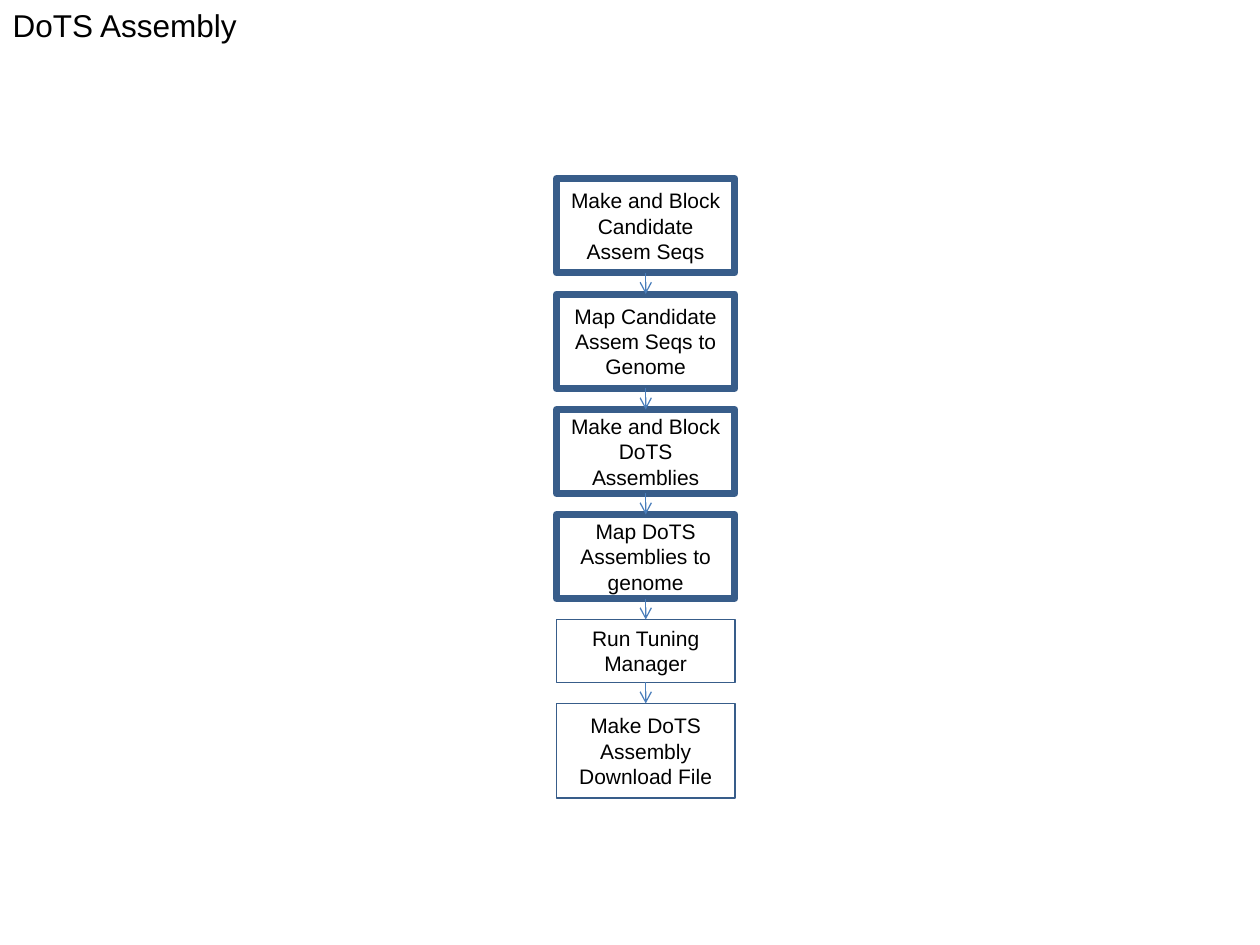
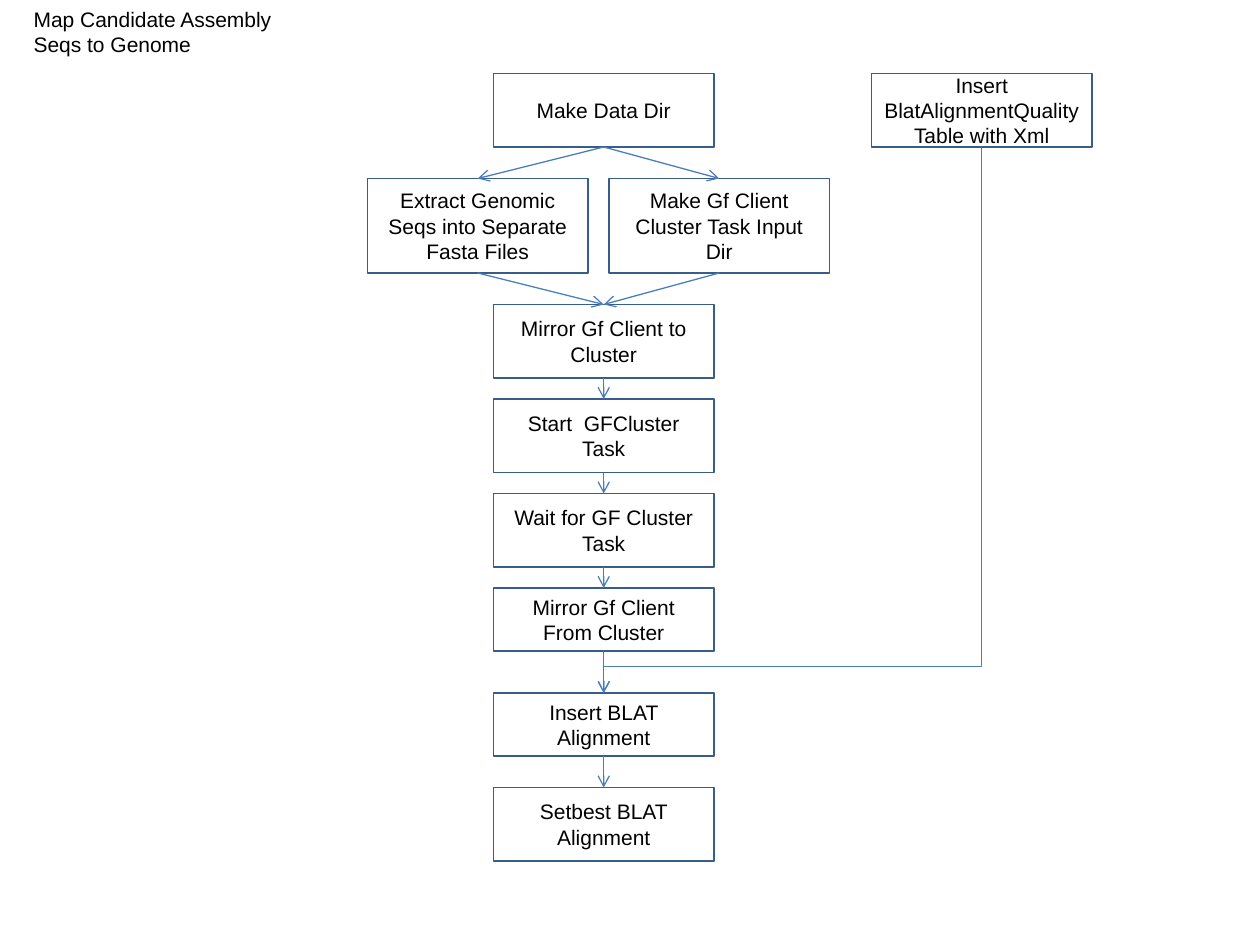
"""Build two flow charts of the DoTS assembly steps."""
from itertools import pairwise

from lxml import etree
from pptx import Presentation
from pptx import util as u
from pptx.dml.color import RGBColor
from pptx.enum import shapes, text
from pptx.oxml.ns import qn

EDGE, LINK, INK, WHITE = "385D8A", "4A7EBB", "000000", "FFFFFF"
FONT = "Arial"
THIN, THICK = 1, 4


def px(n):
    return u.Emu(n * 7620)


def color(code):
    return RGBColor.from_string(code)


class Deck:
    def __init__(self):
        self.prs = Presentation()
        self.prs.slide_width, self.prs.slide_height = px(1200), px(900)
        self.slide = None

    def place(self, shape, left, top, width, height):
        shape.left, shape.top = px(left), px(top)
        shape.width, shape.height = px(width), px(height)

    def label(self, frame, words, size, align):
        frame.text = words
        for para in frame.paragraphs:
            para.alignment = align
            para.font.name = FONT
            para.font.size = u.Pt(size)
            para.font.color.rgb = color(INK)

    def page(self, words, left, width, height, size, wrap):
        self.slide = self.prs.slides.add_slide(self.prs.slide_layouts[5])
        title = self.slide.shapes.title
        self.place(title, left, 0, width, height)
        frame = title.text_frame
        self.label(frame, words, size, text.PP_ALIGN.LEFT)
        frame.vertical_anchor = text.MSO_ANCHOR.TOP
        frame.auto_size = text.MSO_AUTO_SIZE.SHAPE_TO_FIT_TEXT
        frame.word_wrap = wrap

    def box(self, words, left, top, width, height, edge=THIN, fill=None):
        shape = self.slide.shapes.add_shape(
            shapes.MSO_SHAPE.RECTANGLE, px(left), px(top), px(width), px(height))
        shape.shadow.inherit = False
        if fill:
            shape.fill.solid()
            shape.fill.fore_color.rgb = color(fill)
        else:
            shape.fill.background()
        shape.line.color.rgb = color(EDGE)
        shape.line.width = u.Pt(edge)
        frame = shape.text_frame
        frame.word_wrap = True
        frame.vertical_anchor = text.MSO_ANCHOR.MIDDLE
        self.label(frame, words, 12, text.PP_ALIGN.CENTER)
        return shape

    def style(self, link):
        link.line.color.rgb = color(LINK)
        link.line.width = u.Pt(0.75)
        props = link.element.spPr
        etree.SubElement(props.find(qn("a:ln")), qn("a:tailEnd"), type="arrow")
        etree.SubElement(props, qn("a:effectLst"))

    def arrow(self, start, end):
        link = self.slide.shapes.add_connector(
            shapes.MSO_CONNECTOR.STRAIGHT, 0, 0, 0, 0)
        link.begin_connect(start, 2)
        link.end_connect(end, 0)
        self.style(link)

    def elbow(self, x1, y1, x2, y2, bend):
        run, drop = x1 - x2, y2 - y1
        left, top = (x1 + x2 - drop) // 2, (y1 + y2 - run) // 2
        link = self.slide.shapes.add_connector(
            shapes.MSO_CONNECTOR.ELBOW, px(left), px(top),
            px(left + drop), px(top + run))
        props = link.element.spPr
        props.find(qn("a:xfrm")).set("rot", str(90 * 60000))
        shape = props.find(qn("a:prstGeom"))
        guides = shape.find(qn("a:avLst"))
        if guides is None:
            guides = etree.SubElement(shape, qn("a:avLst"))
        ratio = round((bend - y1) / drop * 100000)
        etree.SubElement(guides, qn("a:gd"), name="adj1", fmla=f"val {ratio}")
        self.style(link)


def steps(deck):
    deck.page("DoTS Assembly", 0, 239, 48, 18, False)
    rows = [
        ("Make and Block Candidate Assem Seqs", 90, THICK, None),
        ("Map Candidate Assem Seqs to Genome", 90, THICK, None),
        ("Make and Block DoTS Assemblies", 80, THICK, None),
        ("Map DoTS Assemblies to genome", 80, THICK, None),
        ("Run Tuning Manager", 60, THIN, WHITE),
        ("Make DoTS Assembly Download File", 90, THIN, WHITE),
    ]
    top, gap = 170, 20
    chain = []
    for words, height, edge, fill in rows:
        chain.append(deck.box(words, 530, top, 170, height, edge, fill))
        top += height + gap
    for start, end in pairwise(chain):
        deck.arrow(start, end)


def mapping(deck):
    deck.page("Map Candidate Assembly\nSeqs to Genome", 20, 270, 60, 12, True)
    mid, wide = 470, 210
    first = deck.box("Make Data Dir", mid, 70, wide, 70)
    forks = [
        deck.box("Extract Genomic Seqs into Separate Fasta Files", 350, 170, wide, 90),
        deck.box("Make Gf Client Cluster Task Input Dir", 580, 170, wide, 90),
    ]
    rows = [
        ("Mirror Gf Client to Cluster", 290, 70),
        ("Start  GFCluster Task", 380, 70),
        ("Wait for GF Cluster Task", 470, 70),
        ("Mirror Gf Client From Cluster", 560, 60),
        ("Insert BLAT Alignment", 660, 60),
        ("Setbest BLAT Alignment", 750, 70),
    ]
    chain = [deck.box(words, mid, top, wide, height) for words, top, height in rows]
    side = 830
    deck.box("Insert BlatAlignmentQuality Table with Xml", side, 70, wide, 70)
    for fork in forks:
        deck.arrow(first, fork)
        deck.arrow(fork, chain[0])
    for start, end in pairwise(chain):
        deck.arrow(start, end)
    half = wide // 2
    deck.elbow(side + half, 140, mid + half, 660, 635)


def main():
    deck = Deck()
    steps(deck)
    mapping(deck)
    deck.prs.save("out.pptx")


if __name__ == "__main__":
    main()
